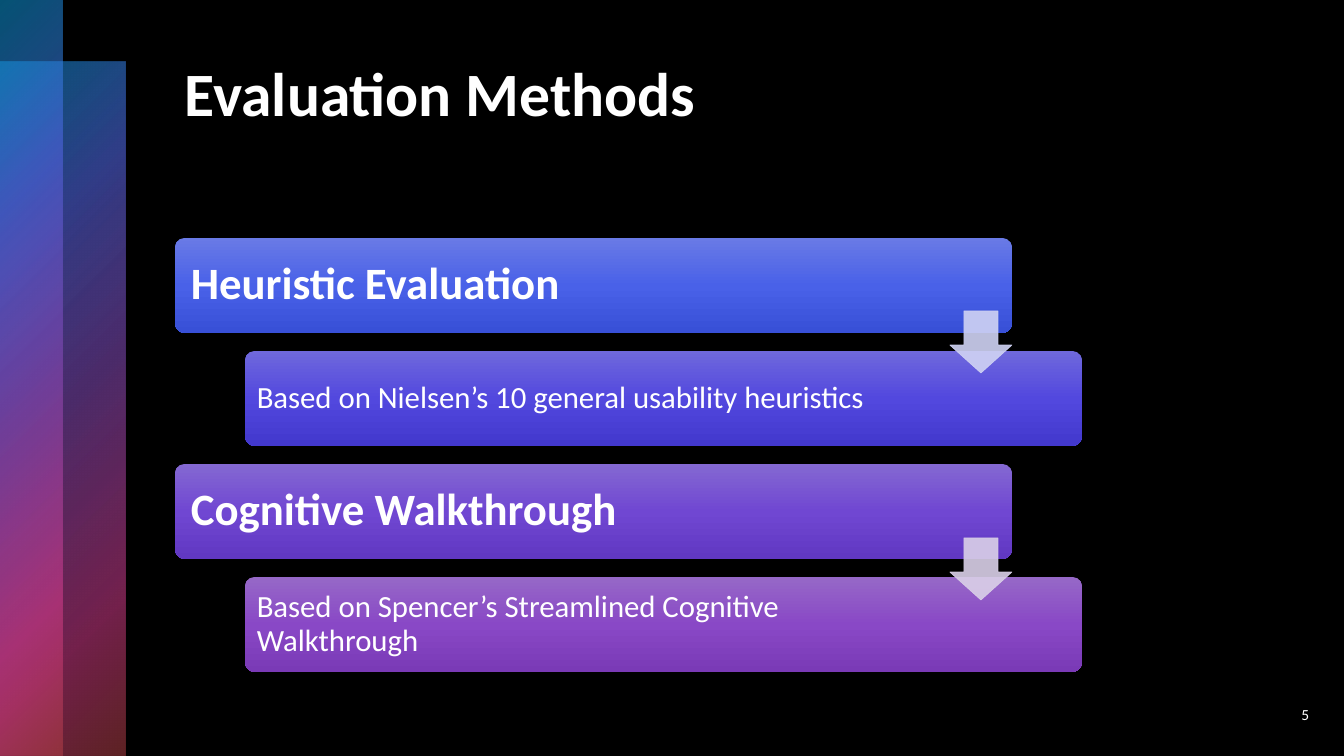
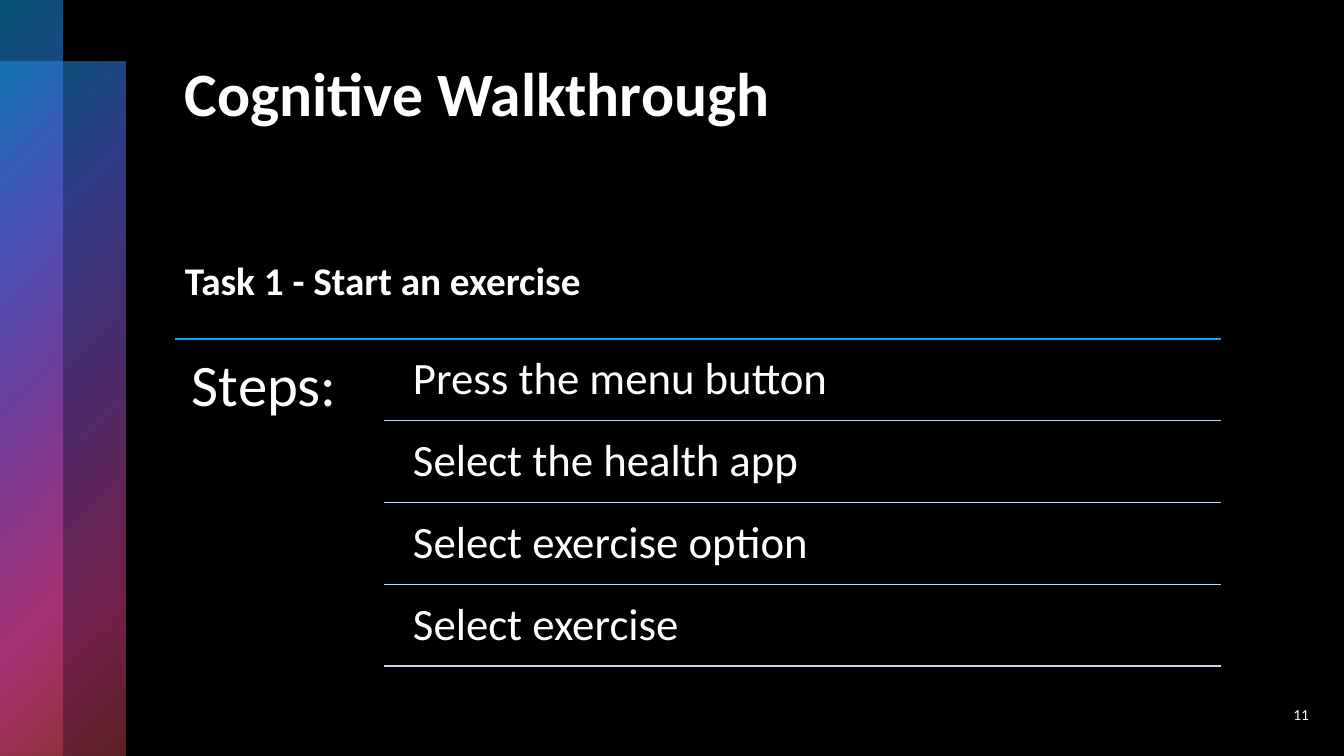
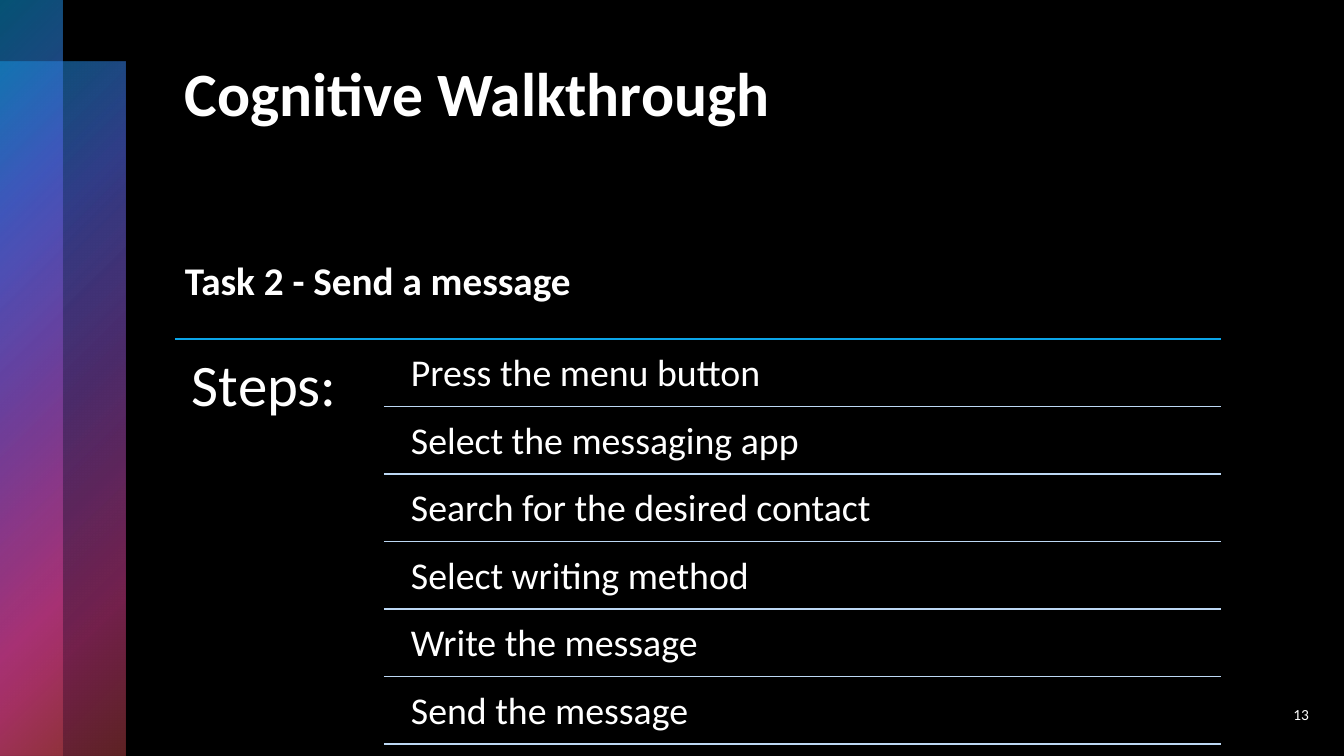
"""Build three dark slides on usability evaluation methods."""
from lxml.etree import SubElement
from pptx import Presentation
from pptx.dml.color import RGBColor as Rgb
from pptx.enum.shapes import MSO_CONNECTOR as Conn, MSO_SHAPE as Kind
from pptx.enum.text import MSO_ANCHOR as Anchor, PP_ALIGN as Align
from pptx.oxml import parse_xml as to_xml
from pptx.oxml.ns import nsdecls, qn
from pptx.util import Emu, Pt

SCALE = 914400 / 100.8


class Theme:
    font = "Calibri"
    back, text = "000000", "FFFFFF"
    rule, thin = "0BA5E8", "BDD8F4"
    title, task, steps, head, note, foot = 44, 28, 42, 32, 22, 11
    band = [(0, "0BA5E8", 50), (25, "5066E1", 60), (50, "894EC0", 55),
            (81, "E54196", 50), (99, "BE4449", 50)]
    boxes = [("697AE6", "4961E8", "3850D7"), ("6F68DC", "5248DE", "4238CD"),
             ("8468D2", "7047D2", "6138C2"), ("9668C7", "8948C6", "7A3AB6")]
    arrows = ["D0D3F4", "DAD0E8"]


def px(*nums):
    return [Emu(round(n * SCALE)) for n in nums]


def write(shape, text, size, bold=False, pad=None, mid=False, align=Align.LEFT, space=1.0):
    frame = shape.text_frame
    frame.word_wrap = True
    frame.vertical_anchor = Anchor.MIDDLE if mid else Anchor.TOP
    if pad:
        (frame.margin_left, frame.margin_top,
         frame.margin_right, frame.margin_bottom) = px(*pad)
    frame.text = text
    para = frame.paragraphs[0]
    para.alignment = align
    para.line_spacing = space
    font = para.runs[0].font
    font.name, font.size, font.bold = Theme.font, Pt(size), bold
    font.color.rgb = Rgb.from_string(Theme.text)


deck = Presentation()
deck.slide_width, deck.slide_height = px(1344, 756)

pages = [
    ("Evaluation Methods", 5, None, [], 0, 0, 0),
    ("Cognitive Walkthrough", 11, "Task 1 - Start an exercise",
     ["Press the menu button", "Select the health app",
      "Select exercise option", "Select exercise"], 666, 32, 13),
    ("Cognitive Walkthrough", 13, "Task 2 - Send a message",
     ["Press the menu button", "Select the messaging app",
      "Search for the desired contact", "Select writing method",
      "Write the message", "Send the message"], 744, 27, 11),
]
methods = [
    ("Heuristic Evaluation", True),
    ("Based on Nielsen’s 10 general usability heuristics", False),
    ("Cognitive Walkthrough", True),
    ("Based on Spencer’s Streamlined Cognitive Walkthrough", False),
]
left, right, inner, top = 175, 1221, 384, 339

for title, num, task, steps, end, size, pad in pages:
    slide = deck.slides.add_slide(deck.slide_layouts[6])
    shapes = slide.shapes
    slide.background.fill.solid()
    slide.background.fill.fore_color.rgb = Rgb.from_string(Theme.back)

    fills = []
    for y, wide in ((62, 125), (0, 63)):
        band = shapes.add_shape(Kind.RECTANGLE, *px(0, y, wide, 756 - y))
        fills.append((band, Theme.band, '<a:path path="circle">'
                      '<a:fillToRect r="100000" b="100000"/></a:path>'))

    write(shapes.add_textbox(*px(left, 50, 1046, 171)), title, Theme.title, bold=True)
    write(shapes.add_textbox(*px(1229, 694, 90, 40)), str(num), Theme.foot,
          mid=True, align=Align.RIGHT)

    if task:
        write(shapes.add_textbox(*px(left, 251, 604, 57)), task, Theme.task, bold=True)
        write(shapes.add_textbox(*px(left, top, 209, end - top)), "Steps:",
              Theme.steps, pad=[17] * 4, space=0.9)
        pitch = (end - top) / len(steps)
        rules = [(left, top, Theme.rule)]
        for i, step in enumerate(steps):
            y = top + i * pitch
            write(shapes.add_textbox(*px(400, y + 4, 821, pitch - 4)), step, size,
                  pad=[pad] * 4, space=0.9)
            rules.append((inner, y + pitch, Theme.thin))
        for x, y, color in rules:
            line = shapes.add_connector(Conn.STRAIGHT, *px(x, y, right, y))
            line.line.color.rgb = Rgb.from_string(color)
            line.line.width = Pt(1)
            SubElement(line.element.spPr, qn("a:effectLst"))
    else:
        for i, (text, head) in enumerate(methods):
            x = left if head else left + 70
            box = shapes.add_shape(Kind.ROUNDED_RECTANGLE, *px(x, 238 + 113 * i, 837, 95))
            box.adjustments[0] = 0.1
            stops = [(50 * n, color, 100) for n, color in enumerate(Theme.boxes[i])]
            fills.append((box, stops, '<a:lin ang="5400000" scaled="0"/>'))
            gap = 13 if head else 9
            write(box, text, Theme.head if head else Theme.note, bold=head,
                  pad=[gap, gap, 141, gap], mid=True, space=0.9)
        for i, color in enumerate(Theme.arrows):
            arrow = shapes.add_shape(Kind.DOWN_ARROW, *px(950, 311 + 227 * i, 62, 62))
            arrow.adjustments[0], arrow.adjustments[1] = 0.55, 0.45
            arrow.shadow.inherit = False
            arrow.fill.solid()
            arrow.fill.fore_color.rgb = Rgb.from_string(color)
            arrow.line.color.rgb = Rgb.from_string(color)
            arrow.line.width = Pt(0.5)
            for tint in arrow.element.spPr.iter(qn("a:srgbClr")):
                SubElement(tint, qn("a:alpha"), val="90000")

    for shape, stops, tail in fills:
        shape.shadow.inherit = False
        shape.line.fill.background()
        shape.fill.background()
        marks = "".join(
            f'<a:gs pos="{pos * 1000}"><a:srgbClr val="{color}">'
            f'<a:alpha val="{alpha * 1000}"/></a:srgbClr></a:gs>'
            for pos, color, alpha in stops)
        blend = to_xml(f'<a:gradFill {nsdecls("a")} rotWithShape="1">'
                       f'<a:gsLst>{marks}</a:gsLst>{tail}</a:gradFill>')
        props = shape.element.spPr
        props.replace(props.find(qn("a:noFill")), blend)

deck.save("out.pptx")
